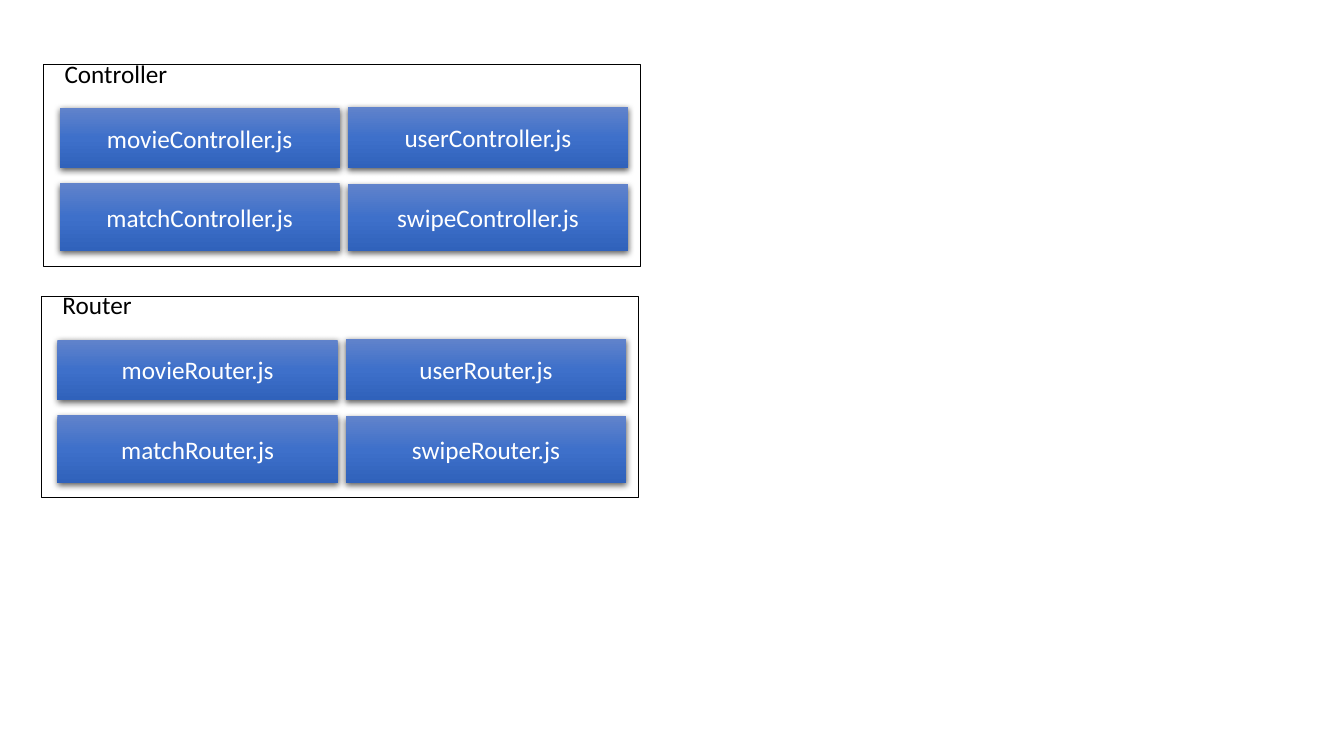
from copy import deepcopy
from dataclasses import dataclass

from lxml import etree
from pptx import Presentation
from pptx import util as u
from pptx.dml.color import RGBColor
from pptx.enum import shapes, text
from pptx.oxml import ns

COLORS = {
    "outline": "000000",
    "heading": "000000",
    "file_name": "FFFFFF",
    "shadow": "000000",
    "top": "6183CB",
    "middle": "3E70CA",
    "bottom": "3062BB",
}
FONT = "Calibri"
TEXT_SIZE = u.Pt(18)
LAYER_WIDTH, LAYER_HEIGHT = 5.92, 2
FILE_WIDTH = 2.78


@dataclass(frozen=True)
class Layer:
    """A framed group of source files; left and top are in inches."""
    name: str
    left: float
    top: float


@dataclass(frozen=True)
class FileSlot:
    """Place of one file inside its layer, in inches."""
    subject: str
    dx: float
    dy: float
    height: float


LAYERS = [Layer("Controller", 0.43, 0.64), Layer("Router", 0.41, 2.94)]
FILE_SLOTS = [
    FileSlot("movie", 0.16, 0.43, 0.6),
    FileSlot("user", 3.02, 0.42, 0.61),
    FileSlot("match", 0.16, 1.18, 0.67),
    FileSlot("swipe", 3.02, 1.19, 0.66),
]


def rgb(name: str) -> RGBColor:
    """Look up a named colour."""
    return RGBColor.from_string(COLORS[name])


def add_box(slide, left: float, top: float, width: float, height: float,
            wording: str, color: str, align):
    """Add a rectangle with one line of text and no shadow."""
    box = slide.shapes.add_shape(
        shapes.MSO_SHAPE.RECTANGLE, u.Inches(left), u.Inches(top),
        u.Inches(width), u.Inches(height))
    box.shadow.inherit = False
    box.text_frame.text = wording
    paragraph = box.text_frame.paragraphs[0]
    paragraph.alignment = align
    font = paragraph.runs[0].font
    font.name, font.size = FONT, TEXT_SIZE
    font.color.rgb = rgb(color)
    return box


def apply_gradient(box) -> None:
    """Fill a box from top to bottom with three blues."""
    box.fill.gradient()
    box.fill.gradient_angle = 270
    stop_list = box._element.spPr.find(".//" + ns.qn("a:gsLst"))
    stop_list.append(deepcopy(stop_list[-1]))
    blues = [("top", 0), ("middle", 0.5), ("bottom", 1)]
    for stop, (name, position) in zip(box.fill.gradient_stops, blues):
        stop.color.rgb = rgb(name)
        stop.position = position


def apply_shadow(box) -> None:
    """Put a soft shadow just below a box."""
    effects = box._element.spPr.find(ns.qn("a:effectLst"))
    shadow = etree.SubElement(
        effects, ns.qn("a:outerShdw"), blurRad=str(u.Pt(4.5)),
        dist=str(u.Pt(1.5)), dir="5400000", algn="ctr", rotWithShape="0")
    shade = etree.SubElement(shadow, ns.qn("a:srgbClr"), val=COLORS["shadow"])
    etree.SubElement(shade, ns.qn("a:alpha"), val="63000")


def draw_layer(slide, layer: Layer) -> None:
    """Draw the frame of a layer with its heading at the top."""
    frame = add_box(slide, layer.left, layer.top, LAYER_WIDTH, LAYER_HEIGHT,
                    layer.name, "heading", text.PP_ALIGN.LEFT)
    frame.fill.background()
    frame.line.color.rgb = rgb("outline")
    frame.line.width = u.Pt(0.75)
    heading = frame.text_frame
    heading.vertical_anchor = text.MSO_ANCHOR.TOP
    heading.margin_left, heading.margin_top = u.Inches(0.21), 0
    heading.paragraphs[0].line_spacing = 0.77


def draw_file(slide, layer: Layer, slot: FileSlot) -> None:
    """Draw one source file of a layer."""
    box = add_box(slide, layer.left + slot.dx, layer.top + slot.dy,
                  FILE_WIDTH, slot.height,
                  f"{slot.subject}{layer.name}.js", "file_name",
                  text.PP_ALIGN.CENTER)
    box.text_frame.vertical_anchor = text.MSO_ANCHOR.MIDDLE
    box.line.fill.background()
    apply_gradient(box)
    apply_shadow(box)


def main() -> None:
    """Build the slide and save it."""
    deck = Presentation()
    deck.slide_width, deck.slide_height = u.Inches(13.33), u.Inches(7.5)
    slide = deck.slides.add_slide(deck.slide_layouts[6])
    for layer in LAYERS:
        draw_layer(slide, layer)
        for slot in FILE_SLOTS:
            draw_file(slide, layer, slot)
    deck.save("out.pptx")


main()
